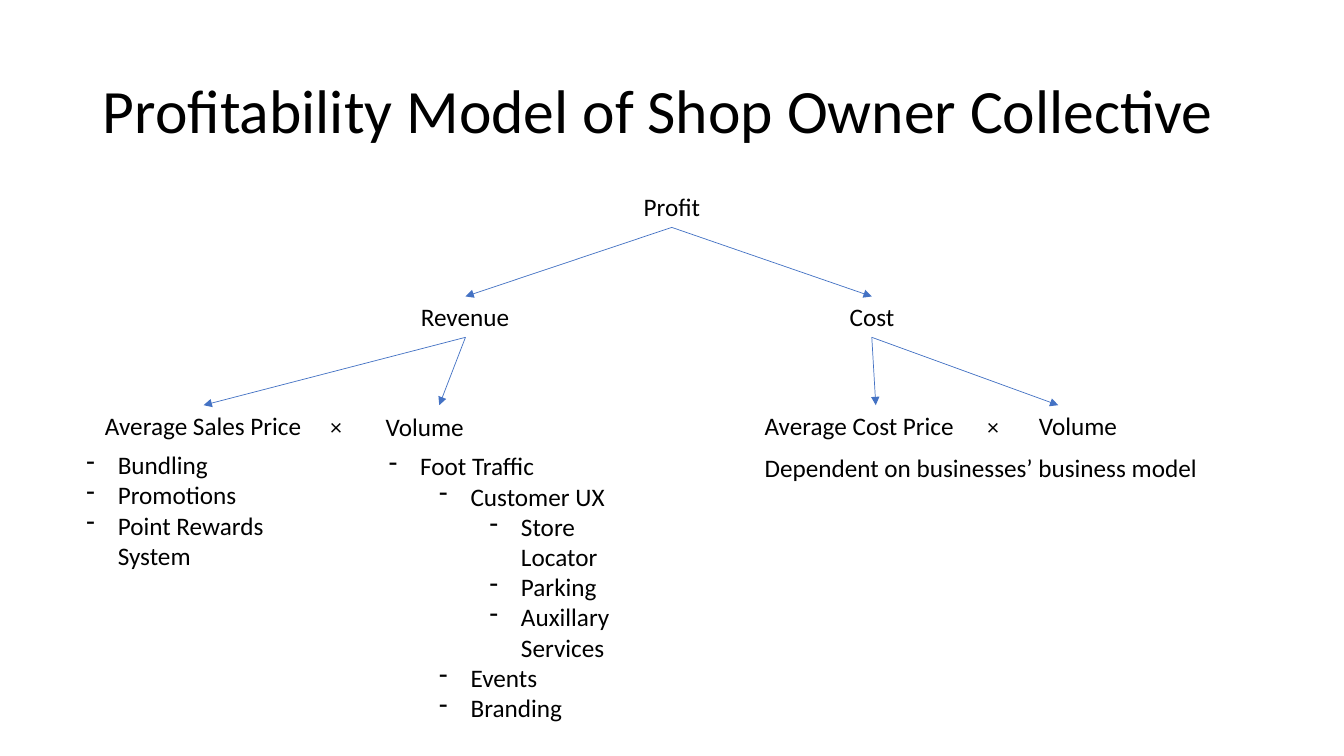
from pptx import Presentation, util as u
from pptx.dml.color import RGBColor
from pptx.enum import shapes, text
from pptx.oxml.ns import qn
from lxml import etree

COLORS = {"text": "000000", "arrow": "4472C4"}
CENTER, LEFT = text.PP_ALIGN.CENTER, text.PP_ALIGN.LEFT

# Content; all lengths in cm
TITLE = "Profitability Model of Shop Owner Collective"
ROW_H = 1.03
ROOT_Y, BRANCH_Y, LEAF_Y = 4.7, 7.47, 10.21

# (text, left, top, width, alignment, font)
LABELS = [
    ("Profit", 15.24, ROOT_Y, 3.39, CENTER, "Calibri"),
    ("Revenue", 8.38, BRANCH_Y, 6.68, CENTER, "Calibri"),
    ("Cost", 18.47, BRANCH_Y, 7.01, CENTER, "Calibri"),
    ("Average Sales Price", 0.13, LEAF_Y, 9.98, CENTER, "Calibri"),
    ("×", 7.67, LEAF_Y, 1.6, CENTER, "Cambria"),
    ("Volume", 9.47, LEAF_Y + 0.03, 6.6, LEFT, "Calibri"),
    ("Average Cost Price", 19.02, LEAF_Y, 6.07, LEFT, "Calibri"),
    ("×", 24.23, LEAF_Y, 1.6, CENTER, "Cambria"),
    ("Volume", 25.93, LEAF_Y, 4.37, LEFT, "Calibri"),
    ("Dependent on businesses’ business model", 19.02, 11.28, 11.79, LEFT, "Calibri"),
]

# (left, top, width, height, [(level, text)])
LISTS = [
    (1.93, 11.2, 6.4, 3.33, [(0, "Bundling"), (0, "Promotions"),
                             (0, "Point Rewards System")]),
    (9.55, 11.23, 7.04, 7.19, [(0, "Foot Traffic"), (1, "Customer UX"),
                               (2, "Store Locator"), (2, "Parking"),
                               (2, "Auxillary Services"), (1, "Events"),
                               (1, "Branding")]),
]

# (parent x, parent top, child top, child xs)
ARROWS = [
    (16.93, ROOT_Y, BRANCH_Y, [11.73, 21.97]),
    (11.73, BRANCH_Y, LEAF_Y, [5.13, 11.07]),
    (21.97, BRANCH_Y, LEAF_Y, [22.07, 26.67]),
]

prs = Presentation()
prs.slide_width, prs.slide_height = u.Cm(33.87), u.Cm(19.05)
s = prs.slides.add_slide(prs.slide_layouts[6])


def add_text(lines, left, top, width, height, size=18, font="Calibri", align=LEFT):
    tf = s.shapes.add_textbox(*map(u.Cm, (left, top, width, height))).text_frame
    tf.word_wrap = True
    for i, line in enumerate(lines):
        p = tf.paragraphs[0] if i == 0 else tf.add_paragraph()
        p.text = line
        p.alignment = align
        p.font.size, p.font.name = u.Pt(size), font
        p.font.color.rgb = RGBColor.from_string(COLORS["text"])
    return tf


def add_dash(p, level):
    p.level = level
    pPr = p._p.get_or_add_pPr()
    pPr.set("marL", str(u.Cm(0.79 + 1.27 * level)))
    pPr.set("indent", str(-u.Cm(0.79)))
    bullet = etree.Element(qn("a:buChar"), char="-")
    pPr.insert_element_before(bullet, "a:tabLst", "a:defRPr", "a:extLst")


def add_arrow(x1, y1, x2, y2):
    sp = s.shapes.add_connector(shapes.MSO_CONNECTOR.STRAIGHT,
                                *map(u.Cm, (x1, y1, x2, y2)))
    sp.line.color.rgb = RGBColor.from_string(COLORS["arrow"])
    sp.line.width = u.Pt(0.5)
    etree.SubElement(sp.line._get_or_add_ln(), qn("a:tailEnd"), type="triangle")
    etree.SubElement(sp._element.spPr, qn("a:effectLst"))


# Title
tf = add_text([TITLE], 2.34, 1.02, 29.21, 3.68, size=44)
tf.vertical_anchor = text.MSO_ANCHOR.MIDDLE
tf.paragraphs[0].line_spacing = 0.9

# Tree arrows
for x, parent_y, child_y, children in ARROWS:
    for child_x in children:
        add_arrow(x, parent_y + ROW_H, child_x, child_y)

# Tree labels
for label, left, top, width, align, font in LABELS:
    add_text([label], left, top, width, ROW_H, font=font, align=align)

# Driver lists
for left, top, width, height, items in LISTS:
    tf = add_text([item for _, item in items], left, top, width, height)
    for p, (level, _) in zip(tf.paragraphs, items):
        add_dash(p, level)

prs.save("out.pptx")
